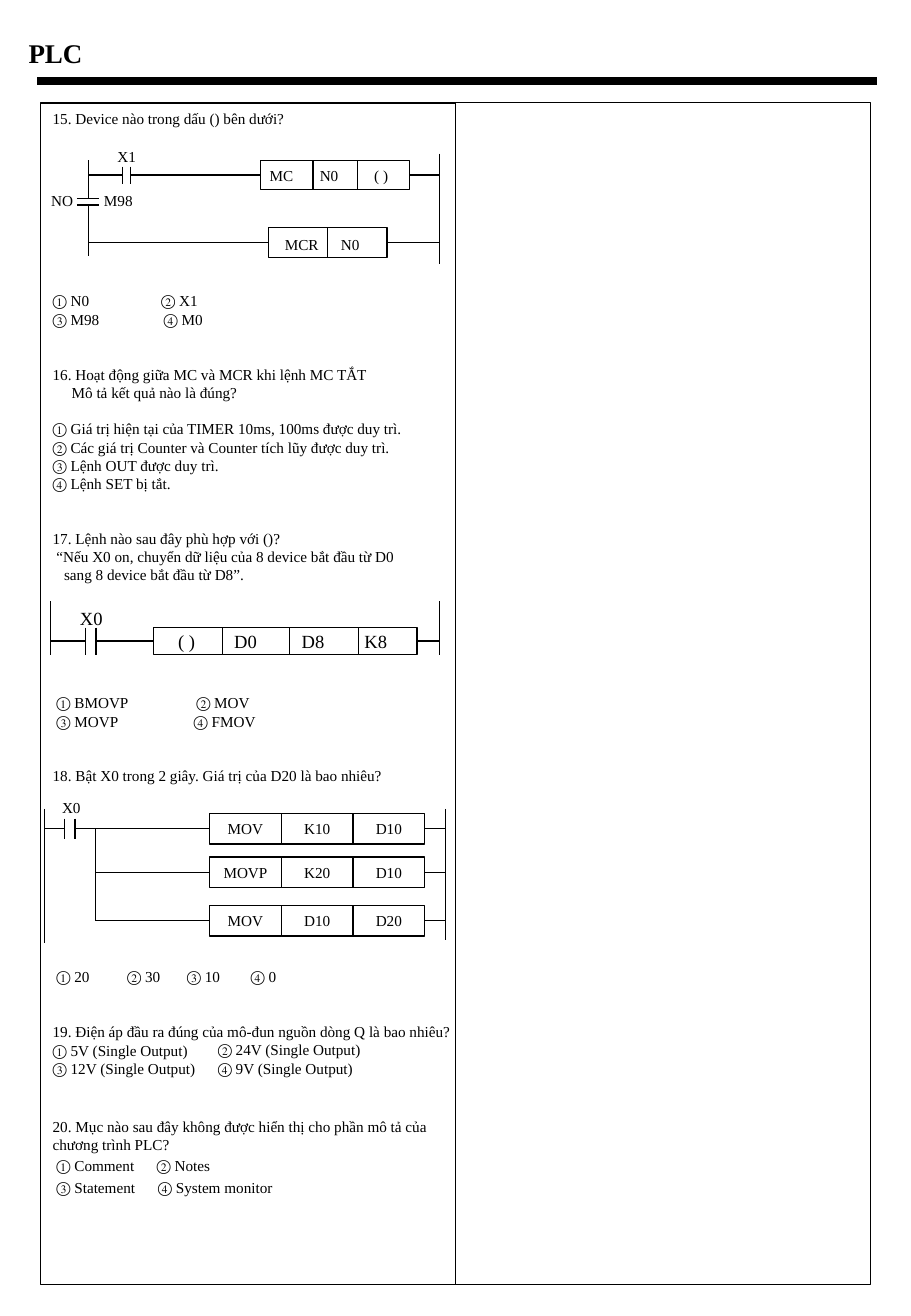
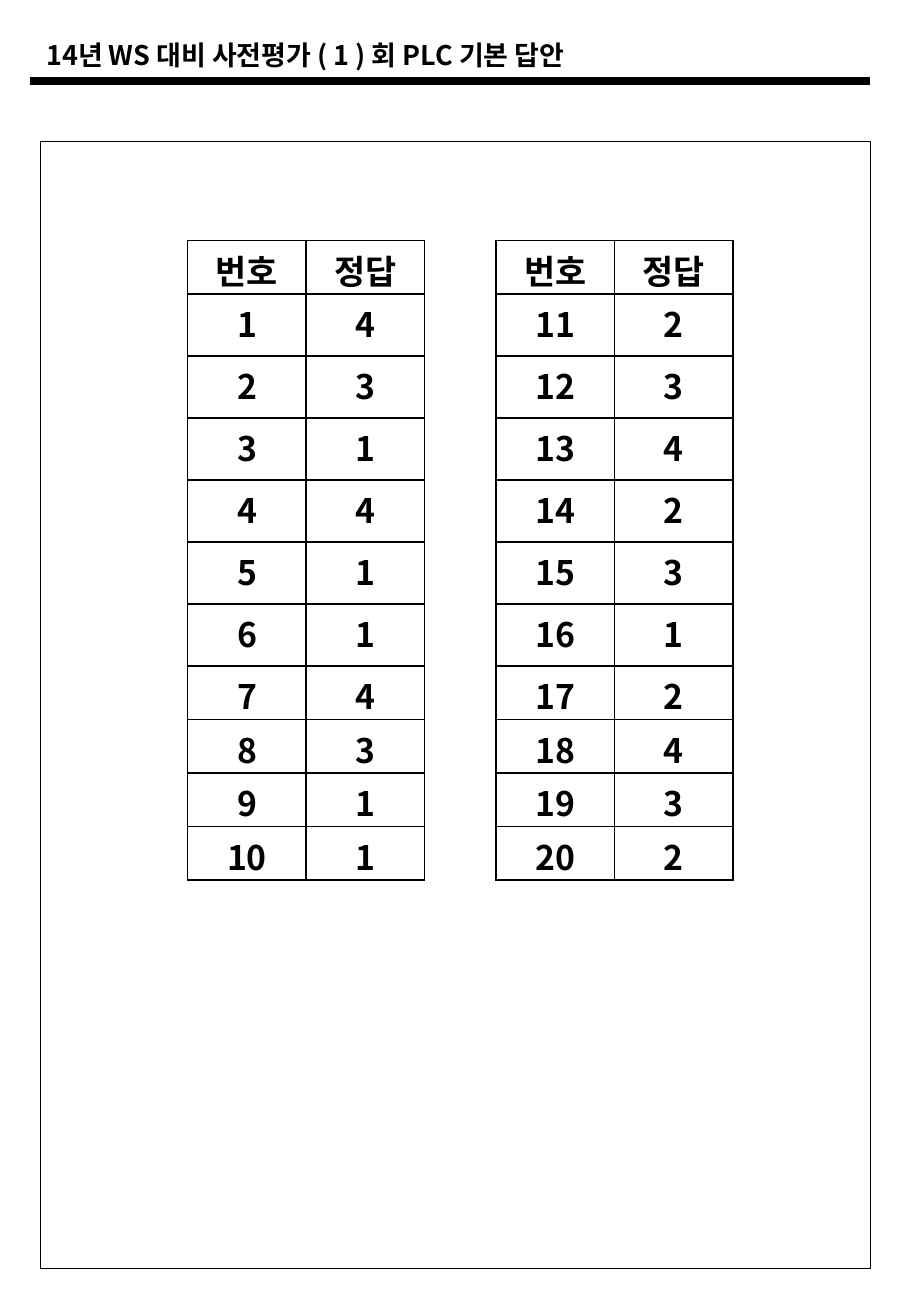
from dataclasses import dataclass

from lxml import etree
from pptx import Presentation
from pptx.dml.color import RGBColor
from pptx.enum.shapes import MSO_CONNECTOR, MSO_SHAPE
from pptx.enum.text import MSO_ANCHOR, MSO_AUTO_SIZE, PP_ALIGN
from pptx.oxml.ns import qn
from pptx.util import Pt

STRAIGHT = MSO_CONNECTOR.STRAIGHT
RECTANGLE = MSO_SHAPE.RECTANGLE
LEFT, CENTER = PP_ALIGN.LEFT, PP_ALIGN.CENTER
TOP, MIDDLE = MSO_ANCHOR.TOP, MSO_ANCHOR.MIDDLE
LEFT_SIDE, RIGHT_SIDE = 1, 3

COLORS = {"ink": "000000", "paper": "FFFFFF"}
SERIF, KOREAN = "Times New Roman", "Noto Sans CJK KR"
LINE_HEIGHT = 10.83
THIN = 0.75
COLUMN_TOP = 61
RIGHT_RAIL = 260.75


@dataclass(frozen=True)
class TextStyle:
    font: str = SERIF
    size: float = 9
    bold: bool = False
    align: PP_ALIGN = LEFT
    line_height: float | None = None


@dataclass(frozen=True)
class Option:
    """An answer set to the right of the first one in its row."""
    text: str
    left: float
    width: float


@dataclass(frozen=True)
class Line:
    """One paragraph; gap counts the lines left free above it."""
    text: str
    gap: float = 0
    indent: float = 0
    options: tuple[Option, ...] = ()
    rows: int = 1


@dataclass(frozen=True)
class Label:
    text: str
    left: float
    top: float
    width: float
    height: float = 18
    indent: float = 0


SMALL = TextStyle()
SMALL_CENTERED = TextStyle(align=CENTER)
LARGE = TextStyle(size=11)
QUESTION = TextStyle(line_height=LINE_HEIGHT)
ANSWER = TextStyle(KOREAN, 20, True, CENTER)

QUESTIONS = [
    Line("15. Device nào trong dấu () bên dưới?"),
    Line("① N0", 9, options=(Option("② X1", 88.5, 50),)),
    Line("③ M98", options=(Option("④ M0", 90, 50),)),
    Line("16. Hoạt động giữa MC và MCR khi lệnh MC TẮT", 2),
    Line("Mô tả kết quả nào là đúng?", indent=11.25),
    Line("① Giá trị hiện tại của TIMER 10ms, 100ms được duy trì.", 1),
    Line("② Các giá trị Counter và Counter tích lũy được duy trì."),
    Line("③ Lệnh OUT được duy trì."),
    Line("④ Lệnh SET bị tắt."),
    Line("17. Lệnh nào sau đây phù hợp với ()?", 2),
    Line("“Nếu X0 on, chuyển dữ liệu của 8 device bắt đầu từ D0", indent=2.25),
    Line("sang 8 device bắt đầu từ D8”.", indent=6.75),
    Line("① BMOVP", 6, 2.25, (Option("② MOV", 109.25, 70),)),
    Line("③ MOVP", 0, 2.25, (Option("④ FMOV", 107.75, 70),)),
    Line("18. Bật X0 trong 2 giây. Giá trị của D20 là bao nhiêu?", 2),
    Line("① 20", 10, 2.25, (Option("② 30", 68.25, 35.5),
                            Option("③ 10", 103.75, 35.5),
                            Option("④ 0", 141.5, 35.5))),
    Line("19. Điện áp đầu ra đúng của mô-đun nguồn dòng Q là bao nhiêu?", 2),
    Line("① 5V (Single Output)",
         options=(Option("② 24V (Single Output)", 122, 120),)),
    Line("③ 12V (Single Output)",
         options=(Option("④ 9V (Single Output)", 122, 120),)),
    Line("20. Mục nào sau đây không được hiển thị cho phần mô tả của "
         "chương trình PLC?", 2.17, rows=2),
    Line("① Comment", 0.17, 2.25, (Option("② Notes", 85.75, 90),)),
    Line("③ Statement", 0.17, 2.25, (Option("④ System monitor", 86.5, 90),)),
]

ANSWERS = [4, 3, 1, 4, 1, 1, 4, 3, 1, 1, 2, 3, 4, 2, 3, 1, 2, 4, 3, 2]
ROW_HEIGHTS = [31.7] + [36.75] * 6 + [31.7] * 4


def rgb(name: str) -> RGBColor:
    return RGBColor.from_string(COLORS[name])


def write(para, line: Line, style: TextStyle) -> None:
    para.text = line.text
    para.alignment = style.align
    if style.line_height:
        para.line_spacing = Pt(style.line_height)
    para.space_before = Pt(line.gap * LINE_HEIGHT)
    props = para._p.get_or_add_pPr()
    props.set("marL", str(Pt(line.indent)))
    props.set("indent", "0")
    etree.SubElement(props, qn("a:buNone"))
    font = para.font
    font.name, font.size, font.bold = style.font, Pt(style.size), style.bold
    font.color.rgb = rgb("ink")
    etree.SubElement(props.find(qn("a:defRPr")), qn("a:ea"), typeface=style.font)


def place(shape, left: float, top: float, width: float, height: float) -> None:
    shape.left, shape.top = Pt(left), Pt(top)
    shape.width, shape.height = Pt(width), Pt(height)


def outline(shape) -> None:
    shape.line.color.rgb = rgb("ink")
    shape.line.width = Pt(THIN)


def add_wire(shapes, x1: float, y1: float, x2: float, y2: float,
             width: float = THIN):
    wire = shapes.add_connector(STRAIGHT, Pt(x1), Pt(y1), Pt(x2), Pt(y2))
    wire.line.color.rgb = rgb("ink")
    wire.line.width = Pt(width)
    etree.SubElement(wire._element.spPr, qn("a:effectLst"))
    return wire


def add_box(shapes, left: float, top: float, width: float, height: float):
    box = shapes.add_shape(RECTANGLE, Pt(left), Pt(top), Pt(width), Pt(height))
    box.shadow.inherit = False
    box.fill.background()
    outline(box)
    return box


def add_cell(shapes, label: Label, style: TextStyle):
    """Add one white, filled field of an instruction."""
    box = add_box(shapes, label.left, label.top, label.width, label.height)
    box.fill.solid()
    box.fill.fore_color.rgb = rgb("paper")
    box.text_frame.vertical_anchor = MIDDLE
    write(box.text_frame.paragraphs[0],
          Line(label.text, indent=label.indent), style)
    return box


def add_label(shapes, label: Label, style: TextStyle = SMALL) -> None:
    box = shapes.add_textbox(Pt(label.left), Pt(label.top),
                             Pt(label.width), Pt(label.height))
    box.text_frame.word_wrap = True
    write(box.text_frame.paragraphs[0], Line(label.text), style)


def add_contact(shapes, left: float, right: float, middle: float,
                half: float) -> None:
    for x in (left, right):
        add_wire(shapes, x, middle - half, x, middle + half)


def join_rung(shapes, start: float, first, last, end: float) -> None:
    """Wire an instruction's outer boxes to the points left and right of it."""
    middle = (first.top + first.height / 2) / Pt(1)
    entry = add_wire(shapes, start, middle, first.left / Pt(1), middle)
    entry.end_connect(first, LEFT_SIDE)
    leave = add_wire(shapes, last.left / Pt(1), middle, end, middle)
    leave.begin_connect(last, RIGHT_SIDE)


def add_header(page, text: str, font: str, left: float, top: float,
               rule_left: float) -> None:
    title = page.shapes.title
    place(title, left, top, 480, 26.5)
    frame = title.text_frame
    frame.auto_size = MSO_AUTO_SIZE.NONE
    frame.vertical_anchor = TOP
    write(frame.paragraphs[0], Line(text), TextStyle(font, 16, True))
    add_wire(page.shapes, rule_left, 48, rule_left + 497.75, 48, 4.5)


def add_questions(page) -> None:
    body = page.placeholders[1]
    place(body, 24, COLUMN_TOP, 246, 700.5)
    outline(body)
    frame = body.text_frame
    frame.auto_size = MSO_AUTO_SIZE.NONE
    frame.vertical_anchor = TOP
    frame.margin_right = 0
    top = COLUMN_TOP
    for index, line in enumerate(QUESTIONS):
        para = frame.add_paragraph() if index else frame.paragraphs[0]
        write(para, line, QUESTION)
        top += line.gap * LINE_HEIGHT
        for option in line.options:
            add_label(page.shapes,
                      Label(option.text, option.left, top, option.width), QUESTION)
        top += line.rows * LINE_HEIGHT
    add_box(page.shapes, 270, COLUMN_TOP, 246, 700.5)


def draw_master_control(shapes) -> None:
    rail = 52.5
    master = add_box(shapes, 154.25, 95, 88.5, 17.5)
    reset = add_box(shapes, 159, 134.75, 70.5, 17.75)
    join_rung(shapes, 77.25, master, master, RIGHT_RAIL)
    join_rung(shapes, rail, reset, reset, RIGHT_RAIL)
    add_contact(shapes, 72.5, 77.25, 104, 5.25)
    for x1, y1, x2, y2 in (
        (rail, 95, rail, 117.5), (rail, 121.5, rail, 152),
        (45.5, 117.5, 58.5, 117.5), (45.5, 121.5, 58.5, 121.5),
        (rail, 103.75, 72.5, 103.75), (RIGHT_RAIL, 91, RIGHT_RAIL, 156.5),
        (185.5, 95, 185.5, 112.5), (212, 95, 212, 112.5),
        (194.25, 134.75, 194.25, 152.5),
    ):
        add_wire(shapes, x1, y1, x2, y2)
    for label in (
        Label("NO", 23.25, 110, 28.5),
        Label("M98", 54.5, 110, 39.5),
        Label("X1", 62.5, 83.5, 26),
        Label("MC", 152.75, 95, 32),
        Label("N0", 182.5, 95, 28),
        Label("( )", 214.75, 95, 28),
        Label("MCR", 161.75, 135.75, 37),
        Label("N0", 195, 135.75, 28),
    ):
        add_label(shapes, label)


def draw_block_move(shapes) -> None:
    rail, top, middle = 30, 372, 380
    fields = (("( )", 91, 7.5), ("D0", 131.75, 0),
              ("K8", 206.25, 2.75), ("D8", 171.75, 0))
    boxes = [add_cell(shapes, Label(text, left, top, 41, 16, indent), LARGE)
             for text, left, indent in fields]
    join_rung(shapes, 57, boxes[0], boxes[2], RIGHT_RAIL)
    add_wire(shapes, rail, middle, 50.5, middle)
    add_contact(shapes, 50.5, 57, middle, 8)
    for x in (rail, RIGHT_RAIL):
        add_wire(shapes, x, 356.5, x, 388)
    add_label(shapes, Label("X0", 40.25, 356, 29, 21), LARGE)


def draw_moves(shapes) -> None:
    rail, right_rail, branch, middle = 26.25, 264, 56.75, 491.25
    rungs = (
        (44.5, 482.25, ("MOV", "K10", "D10")),
        (branch, 508, ("MOVP", "K20", "D10")),
        (branch, 536.75, ("MOV", "D10", "D20")),
    )
    for start, top, fields in rungs:
        boxes = [add_cell(shapes, Label(text, 124.25 + 42.5 * column, top, 42.5),
                          SMALL_CENTERED)
                 for column, text in enumerate(fields)]
        join_rung(shapes, start, boxes[0], boxes[-1], right_rail)
    add_wire(shapes, rail, 479.5, rail, 558.75)
    add_wire(shapes, right_rail, 479.5, right_rail, 557.25)
    add_wire(shapes, rail, middle, 38.25, middle)
    add_wire(shapes, branch, middle, branch, 545.75)
    add_contact(shapes, 38.25, 44.5, middle, 6)
    add_label(shapes, Label("X0", 29.25, 469.5, 26), SMALL_CENTERED)


def style_cell(cell, text: str) -> None:
    cell.fill.solid()
    cell.fill.fore_color.rgb = rgb("paper")
    cell.margin_top, cell.margin_bottom = Pt(2.7), 0
    write(cell.text_frame.paragraphs[0], Line(text), ANSWER)
    props = cell._tc.get_or_add_tcPr()
    for index, side in enumerate(("lnL", "lnR", "lnT", "lnB")):
        border = etree.Element(qn(f"a:{side}"), w=str(Pt(1)))
        fill = etree.SubElement(border, qn("a:solidFill"))
        etree.SubElement(fill, qn("a:srgbClr"), val=COLORS["ink"])
        props.insert(index, border)


def add_answers(page, left: float, first: int) -> None:
    """Add the table of ten answers that starts at question number first."""
    rows = [("번호", "정답")]
    rows += [(str(number), str(ANSWERS[number - 1]))
             for number in range(first, first + 10)]
    table = page.shapes.add_table(len(rows), 2, Pt(left), Pt(142.5),
                                  Pt(140.5), Pt(sum(ROW_HEIGHTS))).table
    table.first_row = table.horz_banding = False
    for column in table.columns:
        column.width = Pt(70.25)
    for row, height, texts in zip(table.rows, ROW_HEIGHTS, rows):
        row.height = Pt(height)
        for cell, text in zip(row.cells, texts):
            style_cell(cell, text)


def main() -> None:
    deck = Presentation()
    deck.slide_width, deck.slide_height = Pt(540), Pt(780)

    page = deck.slides.add_slide(deck.slide_layouts[1])
    add_header(page, "PLC", SERIF, 9.75, 18, 22.25)
    add_questions(page)
    for draw in (draw_master_control, draw_block_move, draw_moves):
        draw(page.shapes.add_group_shape().shapes)

    page = deck.slides.add_slide(deck.slide_layouts[5])
    add_header(page, "14년 WS 대비 사전평가 ( 1 ) 회 PLC 기본 답안",
               KOREAN, 20.25, 19.25, 18)
    add_box(page.shapes, 24, 84, 492, 668)
    add_answers(page, 111.25, 1)
    add_answers(page, 294, 11)

    deck.save("out.pptx")


if __name__ == "__main__":
    main()
